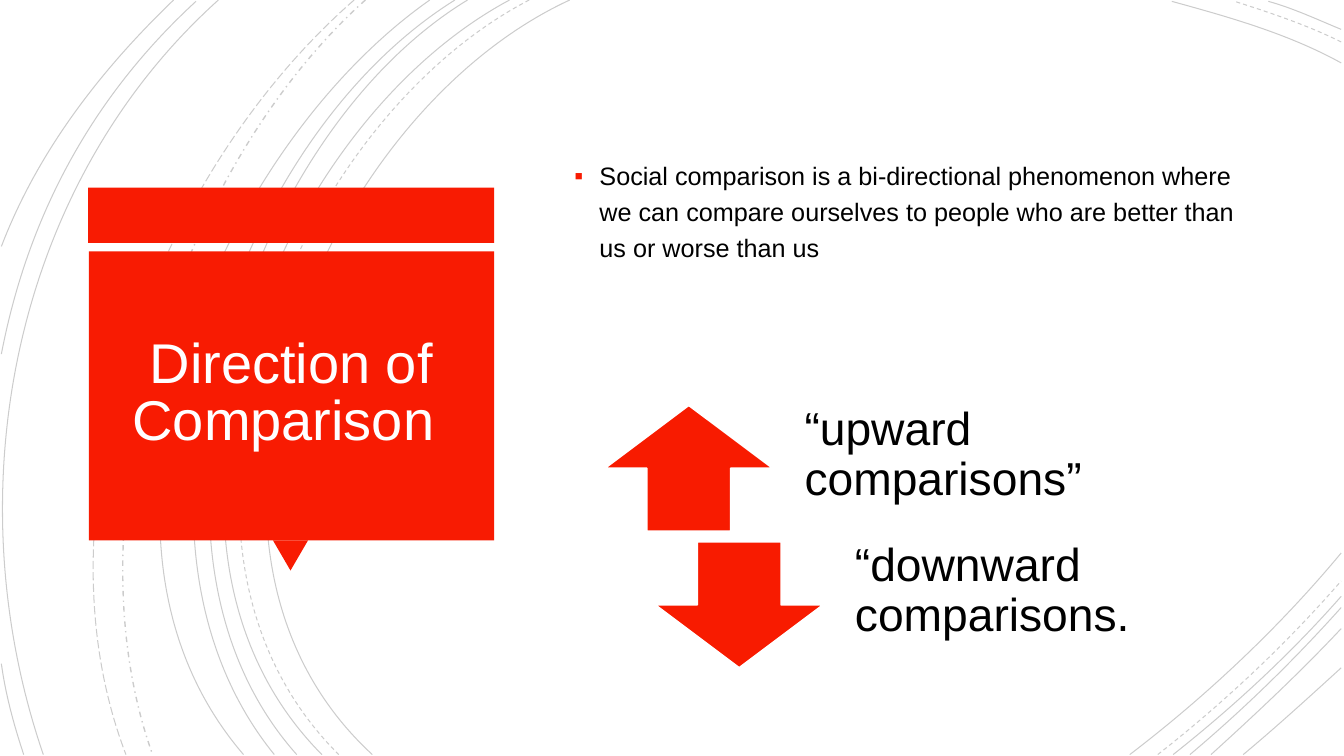
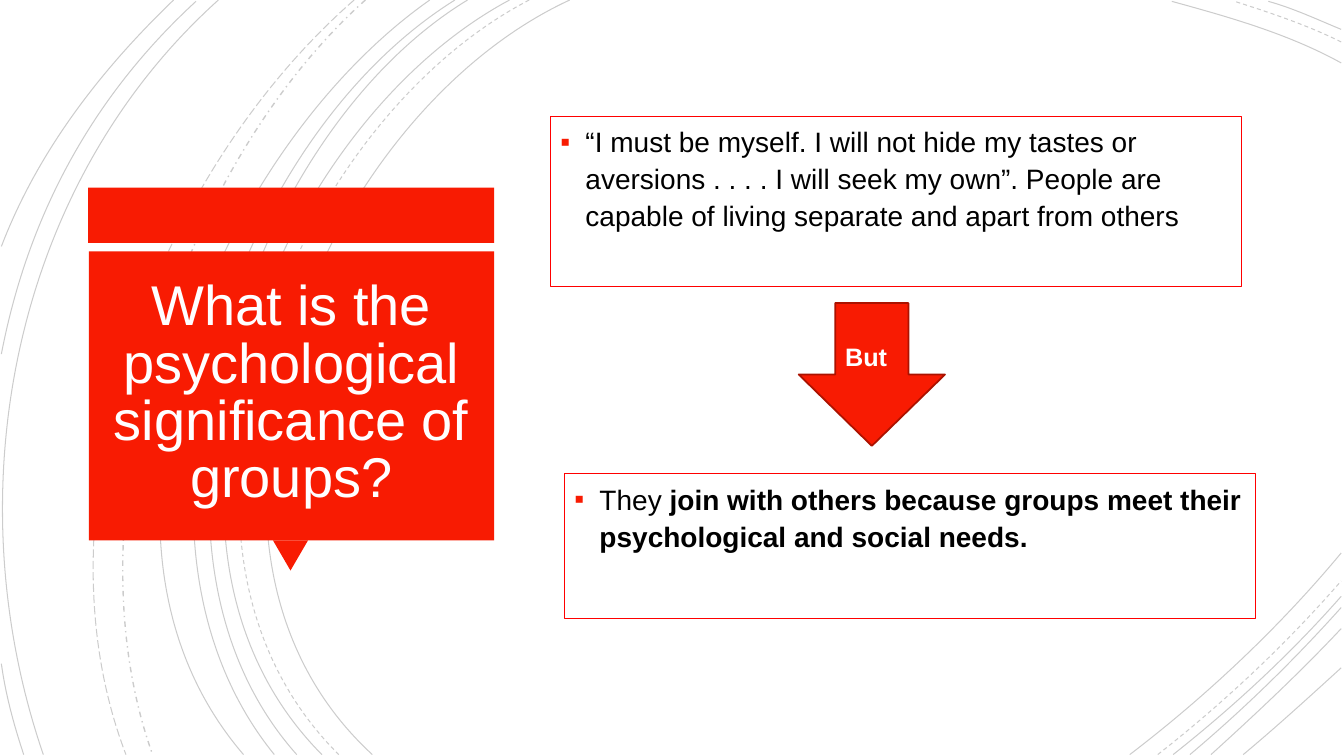
from dataclasses import dataclass
from typing import Optional

from lxml.etree import SubElement
from pptx import Presentation
from pptx.dml.color import RGBColor
from pptx.enum.dml import MSO_LINE_DASH_STYLE as Dash
from pptx.enum.shapes import MSO_SHAPE as Preset
from pptx.enum.text import MSO_ANCHOR as Anchor, MSO_AUTO_SIZE as AutoSize, PP_ALIGN as Align
from pptx.oxml.ns import qn
from pptx.util import Pt

FONT = "Arial"
COLORS = {
    "accent": "F81B02", "arrow": "F81B00", "arrow_edge": "AB1200", "frame": "FF0000",
    "title": "FFFEFF", "white": "FFFFFF", "ink": "000000",
}


@dataclass(frozen=True)
class Box:
    left: float
    top: float
    width: float
    height: float

    def lengths(self) -> tuple:
        return Pt(self.left), Pt(self.top), Pt(self.width), Pt(self.height)


@dataclass(frozen=True)
class Arc:
    """Cubic curve: start, two control points, end (points)."""
    start: tuple
    control_a: tuple
    control_b: tuple
    end: tuple
    dash: Dash = Dash.SOLID
    weight: float = 0.75


@dataclass(frozen=True)
class Words:
    text: str
    size: float
    color: str = "ink"
    bold: bool = False


@dataclass(frozen=True)
class Direction:
    arrow: Preset
    label: str


ARCS = [
    Arc((407, 0), (227, 83), (103, 389), (266, 539)),
    Arc((958, 45), (920, 24), (877, 12), (837, 1)),
    Arc((807, 539), (862, 497), (914, 448), (958, 395)),
    Arc((378, 0), (205, 90), (89, 387), (242, 539), Dash.DASH),
    Arc((958, 30), (934, 18), (907, 9), (882, 1), Dash.DASH),
    Arc((827, 539), (873, 503), (918, 461), (958, 415), Dash.DASH),
    Arc((364, 0), (194, 91), (79, 387), (230, 539)),
    Arc((958, 21), (941, 14), (924, 6), (906, 1)),
    Arc((838, 539), (881, 505), (922, 467), (958, 426)),
    Arc((334, 0), (176, 96), (79, 390), (212, 539)),
    Arc((850, 539), (888, 507), (924, 472), (958, 434)),
    Arc((325, 0), (166, 99), (70, 384), (196, 539)),
    Arc((865, 539), (897, 510), (929, 480), (958, 449)),
    Arc((307, 0), (156, 106), (38, 381), (174, 539)),
    Arc((888, 539), (912, 519), (935, 498), (958, 477)),
    Arc((261, 0), (127, 120), (47, 366), (109, 539), Dash.DASH_DOT, 1),
    Arc((253, 0), (113, 122), (21, 359), (90, 539), Dash.LONG_DASH),
    Arc((156, 0), (8, 133), (-33, 353), (31, 539)),
    Arc((140, 1), (66, 69), (20, 154), (1, 253)),
    Arc((1, 474), (4, 496), (10, 518), (17, 539)),
    Arc((124, 0), (72, 50), (27, 108), (1, 176)),
]
TITLE_BOX = Box(70, 184.5, 276, 194.5)


def rgb(name: str) -> RGBColor:
    return RGBColor.from_string(COLORS[name])


# Text
def set_frame(frame, anchor: Anchor, insets: tuple) -> None:
    frame.word_wrap = True
    frame.auto_size = AutoSize.NONE
    frame.vertical_anchor = anchor
    (frame.margin_left, frame.margin_top,
     frame.margin_right, frame.margin_bottom) = map(Pt, insets)


def write(paragraph, words: list[Words], spacing: float, align: Align = Align.LEFT) -> None:
    paragraph.alignment = align
    paragraph.line_spacing = spacing
    paragraph.space_before = Pt(0)
    for part in words:
        run = paragraph.add_run()
        run.text = part.text
        run.font.name = FONT
        run.font.size = Pt(part.size)
        run.font.bold = part.bold
        run.font.color.rgb = rgb(part.color)


def add_bullet(paragraph) -> None:
    props = paragraph._p.get_or_add_pPr()
    props.set("marL", str(Pt(18)))
    props.set("indent", str(Pt(-18)))
    SubElement(SubElement(props, qn("a:buClr")), qn("a:srgbClr"), val=COLORS["accent"])
    SubElement(props, qn("a:buFont"), typeface=FONT)
    SubElement(props, qn("a:buChar"), char="▪")


def place(placeholder, box: Box) -> None:
    (placeholder.left, placeholder.top,
     placeholder.width, placeholder.height) = box.lengths()


def set_title(slide, text: str) -> None:
    title = slide.shapes.title
    place(title, TITLE_BOX)
    set_frame(title.text_frame, Anchor.MIDDLE, (7.2,) * 4)
    write(title.text_frame.paragraphs[0], [Words(text, 40, "title")], 0.85, Align.CENTER)


def set_body(body, box: Box, words: list[Words], spacing: float, framed: bool = False) -> None:
    place(body, box)
    set_frame(body.text_frame, Anchor.TOP, (7.2, 3.6, 7.2, 3.6))
    statement = body.text_frame.paragraphs[0]
    write(statement, words, spacing)
    add_bullet(statement)
    if framed:
        body.line.color.rgb = rgb("frame")
        body.line.width = Pt(0.75)


# Shapes
def add_block(slide, preset: Preset, box: Box, fill: str, edge: Optional[str] = None):
    block = slide.shapes.add_shape(preset, *box.lengths())
    block.shadow.inherit = False
    block.fill.solid()
    block.fill.fore_color.rgb = rgb(fill)
    if edge:
        block.line.color.rgb = rgb(edge)
        block.line.width = Pt(1.25)
    else:
        block.line.fill.background()
    return block


def add_arc(slide, arc: Arc):
    start, *rest = [(Pt(x), Pt(y)) for x, y in
                    (arc.start, arc.control_a, arc.control_b, arc.end)]
    builder = slide.shapes.build_freeform(*start)
    builder.add_line_segments(rest, close=False)
    curve = builder.convert_to_shape()
    curve.shadow.inherit = False
    curve.fill.background()
    curve.line.color.rgb = rgb("ink")
    curve.line.width = Pt(arc.weight)
    curve.line.dash_style = arc.dash
    for color in curve.element.iter(qn("a:srgbClr")):
        SubElement(color, qn("a:alpha"), val="20000")
    # The three straight segments become one cubic segment
    outline = next(curve.element.iter(qn("a:path")))
    segments = outline.findall(qn("a:lnTo"))
    cubic = SubElement(outline, qn("a:cubicBezTo"))
    for segment in segments:
        cubic.append(segment[0])
        outline.remove(segment)
    return curve


def decorate_master(master, slide) -> None:
    """Draw the arcs and the title panel, then move them behind the master's placeholders."""
    decoration = [add_arc(slide, arc) for arc in ARCS]
    band = add_block(slide, Preset.RECTANGLE, Box(63, 134, 290, 39.5), "accent")
    pointer = add_block(slide, Preset.ISOSCELES_TRIANGLE, Box(195, 386, 25, 21.5), "accent")
    pointer.rotation = 180
    panel = add_block(slide, Preset.RECTANGLE, Box(63.5, 179.5, 289.5, 206.5), "accent")
    first_placeholder = master.shapes[0].element
    for number, part in enumerate(decoration + [band, pointer, panel], start=100):
        part.element.nvSpPr.cNvPr.set("id", str(number))
        first_placeholder.addprevious(part.element)


# Slides
def fill_direction_slide(slide) -> None:
    set_title(slide, "Direction of Comparison ")
    statement = ("Social comparison is a bi-directional phenomenon where we can compare "
                 "ourselves to people who are better than us or worse than us")
    set_body(slide.placeholders[1], Box(403, 106.5, 494, 144), [Words(statement, 18)], 1.2)
    directions = [
        Direction(Preset.UP_ARROW, "“upward comparisons”"),
        Direction(Preset.DOWN_ARROW, "“downward comparisons."),
    ]
    for step, direction in enumerate(directions):
        left, top = 432 + 36 * step, 289.5 + 97.5 * step
        add_block(slide, direction.arrow, Box(left, top, 120, 90), "arrow", "white")
        label = slide.shapes.add_textbox(*Box(left + 124, top, 276.5, 90).lengths())
        set_frame(label.text_frame, Anchor.MIDDLE, (18.7, 0, 18.7, 18.7))
        write(label.text_frame.paragraphs[0], [Words(direction.label, 33)], 0.9)


def fill_groups_slide(slide) -> None:
    set_title(slide, "What is the psychological significance of groups?")
    quote = ("“I must be myself. I will not hide my tastes or aversions . . . . I will seek "
             "my own”. People are capable of living separate and apart from others")
    set_body(slide.placeholders[1], Box(393, 83, 494, 121.5), [Words(quote, 20)], 1.1, True)
    needs = "join with others because groups meet their psychological and social needs."
    set_body(slide.placeholders[2], Box(403, 338.5, 494, 103),
             [Words("They ", 20), Words(needs, 20, bold=True)], 1.1, True)
    contrast = add_block(slide, Preset.DOWN_ARROW, Box(570.5, 216.5, 104.5, 102),
                         "accent", "arrow_edge")
    set_frame(contrast.text_frame, Anchor.MIDDLE, (7.2, 3.6, 7.2, 3.6))
    write(contrast.text_frame.paragraphs[0], [Words("But", 18, "white", True)], 1.0)


def main() -> None:
    deck = Presentation()
    deck.slide_width, deck.slide_height = Pt(960), Pt(540)
    one_body, two_bodies = deck.slide_layouts[1], deck.slide_layouts[3]
    direction_slide = deck.slides.add_slide(one_body)
    decorate_master(deck.slide_master, direction_slide)
    fill_direction_slide(direction_slide)
    fill_groups_slide(deck.slides.add_slide(two_bodies))
    deck.save("out.pptx")


if __name__ == "__main__":
    main()
